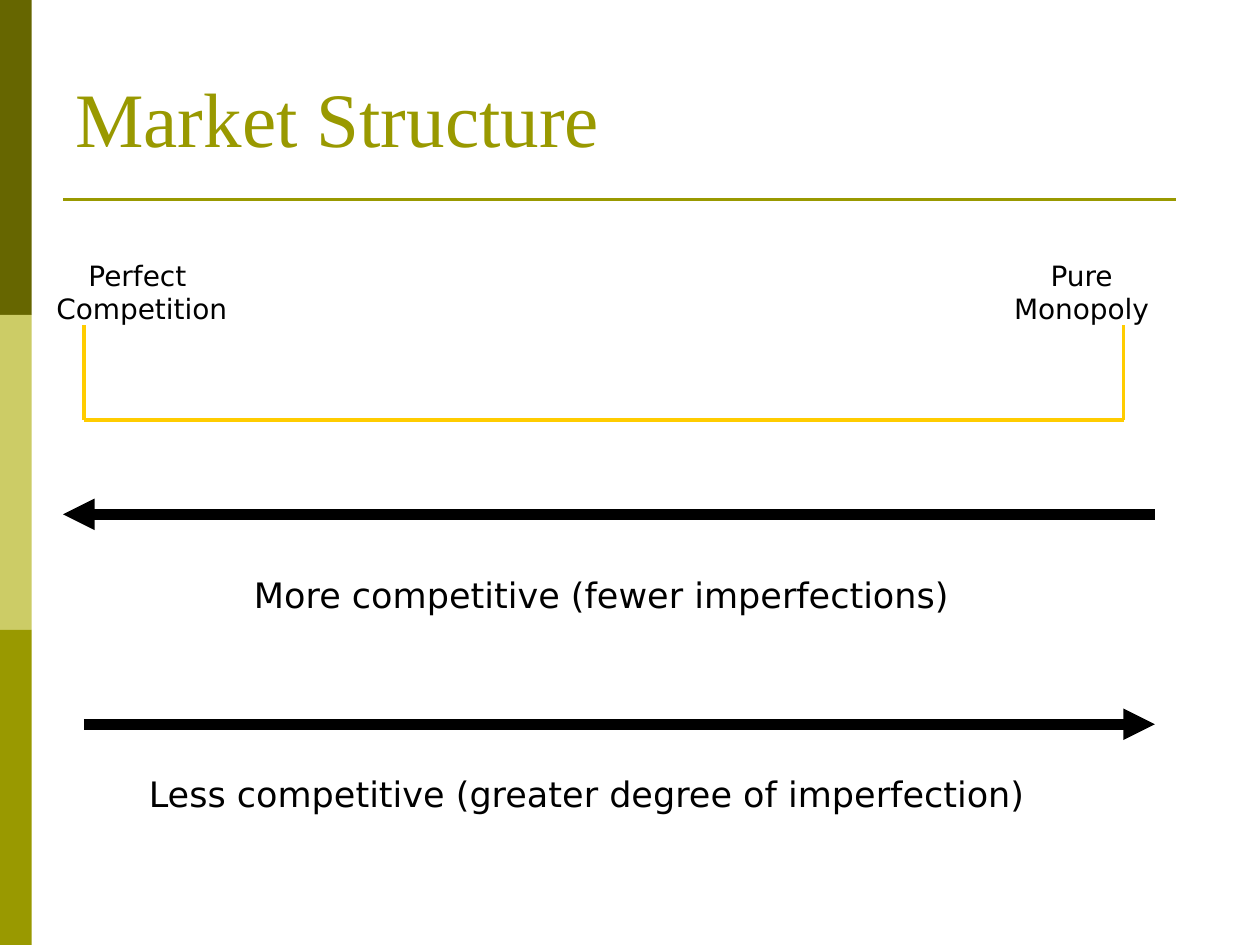
from lxml.etree import SubElement
from pptx import Presentation
from pptx.dml.color import RGBColor
from pptx.enum.shapes import MSO_CONNECTOR, MSO_SHAPE
from pptx.enum.text import MSO_ANCHOR, PP_ALIGN
from pptx.oxml.ns import qn
from pptx.util import Cm, Pt

DARK_OLIVE = RGBColor(0x66, 0x66, 0x00)
PALE_OLIVE = RGBColor(0xCC, 0xCC, 0x66)
OLIVE = RGBColor(0x99, 0x99, 0x00)
GOLD = RGBColor(0xFF, 0xCC, 0x00)
BLACK = RGBColor(0x00, 0x00, 0x00)


def write(tf, text, size=20, font="DejaVu Sans", color=BLACK,
          align=PP_ALIGN.LEFT, anchor=MSO_ANCHOR.TOP):
    """Fill a text frame, one paragraph per line of text."""
    tf.word_wrap = True
    tf.vertical_anchor = anchor
    for i, line in enumerate(text.split("\n")):
        p = tf.add_paragraph() if i else tf.paragraphs[0]
        p.alignment = align
        r = p.add_run()
        r.text = line
        r.font.size = Pt(size)
        r.font.name = font
        r.font.color.rgb = color


class Board:
    """Holds the current slide and draws its elements, in centimetres."""

    def __init__(self, s):
        self.s = s

    def rect(self, x, y, w, h, color):
        sp = self.s.shapes.add_shape(MSO_SHAPE.RECTANGLE, Cm(x), Cm(y), Cm(w), Cm(h))
        sp.shadow.inherit = False
        sp.fill.solid()
        sp.fill.fore_color.rgb = color
        sp.line.fill.background()

    def line(self, x1, y1, x2, y2, color, width, arrow=False):
        c = self.s.shapes.add_connector(
            MSO_CONNECTOR.STRAIGHT, Cm(x1), Cm(y1), Cm(x2), Cm(y2))
        c.line.color.rgb = color
        c.line.width = Pt(width)
        if arrow:
            SubElement(c.line._get_or_add_ln(), qn("a:tailEnd"), type="triangle")
        SubElement(c._element.spPr, qn("a:effectLst"))

    def text(self, x, y, w, h, text, **style):
        sp = self.s.shapes.add_textbox(Cm(x), Cm(y), Cm(w), Cm(h))
        write(sp.text_frame, text, **style)


def main():
    prs = Presentation()
    prs.slide_width, prs.slide_height = Cm(25.4), Cm(19.05)
    board = Board(prs.slides.add_slide(prs.slide_layouts[6]))

    # Side band and title
    band = 6.35
    for i, color in enumerate((DARK_OLIVE, PALE_OLIVE, OLIVE)):
        board.rect(0, i * band, 0.64, band, color)
    board.line(1.27, 4.02, 23.71, 4.02, OLIVE, 1.5)
    board.text(1.27, 0.76, 22.86, 3.18, "Market Structure", size=44,
               font="Times New Roman", color=OLIVE, anchor=MSO_ANCHOR.MIDDLE)

    # Bracket between the two extremes
    left, right, top, bottom = 1.69, 22.65, 6.56, 8.47
    for x1, y1, x2, y2 in ((left, top, left, bottom),
                           (left, bottom, right, bottom),
                           (right, top, right, bottom)):
        board.line(x1, y1, x2, y2, GOLD, 2.25)
    for x, w, label in ((0.85, 4.02, "Perfect \nCompetition"),
                        (19.9, 3.81, "Pure Monopoly")):
        board.text(x, 5.08, w, 1.63, label, size=16, align=PP_ALIGN.CENTER)

    # Direction arrows with captions
    board.line(23.28, 10.37, 1.27, 10.37, BLACK, 6, arrow=True)
    board.text(4.87, 11.43, 15.24, 1.11, "More competitive (fewer imperfections)")
    board.line(left, 14.6, 23.28, 14.6, BLACK, 6, arrow=True)
    board.text(2.75, 15.45, 19.69, 1.11,
               "Less competitive (greater degree of imperfection)")

    prs.save("out.pptx")


if __name__ == "__main__":
    main()
